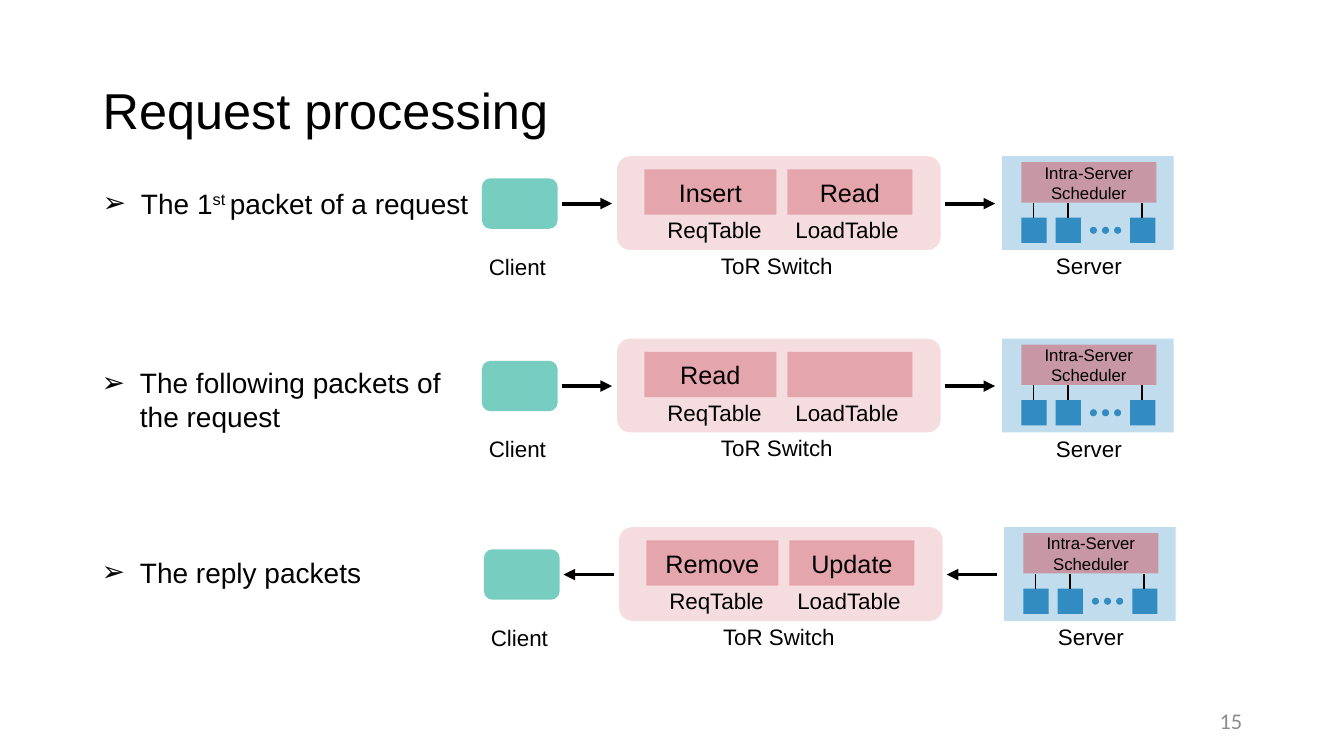
from dataclasses import dataclass

from lxml import etree
from pptx import Presentation
from pptx import util as u
from pptx.dml.color import RGBColor
from pptx.enum import shapes, text
from pptx.oxml.ns import qn

PX = 9144
SHAPE = shapes.MSO_SHAPE
ALIGN = text.PP_ALIGN
MIDDLE = text.MSO_ANCHOR.MIDDLE


@dataclass(frozen=True)
class Theme:
    font: str = "Arial"
    number_font: str = "Calibri"
    ink: str = "000000"
    grey: str = "8C8C8C"
    teal: str = "4ABDAC"
    red: str = "CD5360"
    blue: str = "328CC1"
    title: int = 36
    bullet: int = 20
    cell: int = 18
    label: int = 16
    small: int = 12
    arrow: float = 2.75
    wire: float = 1.25


T = Theme()


def px(*lengths):
    return [u.Emu(n * PX) for n in lengths]


def add_run(p, words, size, color=T.ink, font=T.font, baseline=0):
    r = p.add_run()
    r.text = words
    r.font.size = u.Pt(size)
    r.font.name = font
    r.font.color.rgb = RGBColor.from_string(color)
    if baseline:
        r._r.get_or_add_rPr().set("baseline", str(baseline * 1000))


def add_text(parent, box, words, size, align=ALIGN.LEFT, anchor=None, wrap=True,
             color=T.ink, font=T.font):
    tf = parent.add_textbox(*px(*box)).text_frame
    tf.word_wrap = wrap
    if anchor is not None:
        tf.vertical_anchor = anchor
    p = tf.paragraphs[0]
    p.alignment = align
    add_run(p, words, size, color, font)
    return p


def add_block(parent, kind, box, color, opacity=100, lines=(), size=T.cell):
    s = parent.add_shape(kind, *px(*box))
    s.shadow.inherit = False
    s.line.fill.background()
    s.fill.solid()
    s.fill.fore_color.rgb = RGBColor.from_string(color)
    if opacity < 100:
        srgb = s._element.spPr.find(".//" + qn("a:srgbClr"))
        etree.SubElement(srgb, qn("a:alpha"), val=str(opacity * 1000))
    tf = s.text_frame
    tf.vertical_anchor = MIDDLE
    for i, line in enumerate(lines):
        p = tf.add_paragraph() if i else tf.paragraphs[0]
        p.alignment = ALIGN.CENTER
        add_run(p, line, size)
    return s


def add_line(parent, start, end, width, arrow=False):
    c = parent.add_connector(shapes.MSO_CONNECTOR.STRAIGHT, *px(*start, *end))
    c.line.width = u.Pt(width)
    c.line.color.rgb = RGBColor.from_string(T.ink)
    if arrow:
        etree.SubElement(c.line._get_or_add_ln(), qn("a:tailEnd"), type="triangle")
    etree.SubElement(c._element.spPr, qn("a:effectLst"))


def add_bullet(parent, box, runs):
    tf = parent.add_textbox(*px(*box)).text_frame
    tf.word_wrap = True
    p = tf.paragraphs[0]
    pPr = p._p.get_or_add_pPr()
    pPr.set("marL", str(38 * PX))
    pPr.set("indent", str(-38 * PX))
    etree.SubElement(pPr, qn("a:buFont"), typeface=T.font)
    etree.SubElement(pPr, qn("a:buChar"), char="➢")
    for words, baseline in runs:
        add_run(p, words, T.bullet, baseline=baseline)


def add_client(parent, x, y):
    add_block(parent, SHAPE.ROUNDED_RECTANGLE, (x, y + 22, 75, 50), T.teal, 75)
    add_text(parent, (x - 3, y + 91, 78, 37), "Client", T.label, wrap=False)


def add_switch(parent, x, y, actions):
    add_text(parent, (x + 24, y + 97, 269, 23), "ToR Switch", T.label, ALIGN.CENTER, MIDDLE)
    group = parent.add_group_shape().shapes
    body = add_block(group, SHAPE.ROUNDED_RECTANGLE, (x, y, 321, 93), T.red, 20)
    body.adjustments[0] = 0.14
    tables = (("ReqTable", 27, 131, 40, 114), ("LoadTable", 169, 124, 167, 124))
    for action, (name, left, width, name_left, name_width) in zip(actions, tables):
        add_block(group, SHAPE.RECTANGLE, (x + left, y + 13, width, 45), T.red, 40,
                  [action] if action else [])
        add_text(group, (x + name_left, y + 55, name_width, 37), name, T.label, wrap=False)


def add_server(parent, x, y):
    add_text(parent, (x + 14, y + 96, 144, 25), "Server", T.label, ALIGN.CENTER, MIDDLE)
    group = parent.add_group_shape().shapes
    add_block(group, SHAPE.RECTANGLE, (x, y, 170, 93), T.blue, 30)
    for left in (19, 53, 127):
        add_block(group, SHAPE.RECTANGLE, (x + left, y + 61, 25, 25), T.blue)
        add_line(group, (x + left + 12, y + 61), (x + left + 12, y + 46), T.wire)
    for i in range(3):
        add_block(group, SHAPE.OVAL, (x + 87 + 12 * i, y + 70, 7, 7), T.blue)
    add_block(group, SHAPE.RECTANGLE, (x + 19, y + 6, 134, 40), T.red, 50,
              ("Intra-Server", "Scheduler"), T.small)


def add_flow(parent, x, y, actions, reply):
    add_client(parent, x, y)
    add_switch(parent, x + 134, y, actions)
    add_server(parent, x + 516, y)
    for left in (x + 79, x + 459):
        ends = [(left, y + 47), (left + 50, y + 47)]
        if reply:
            ends.reverse()
        add_line(parent, *ends, T.arrow, arrow=True)


def add_heading(parent, box):
    p = add_text(parent, box, "Request processing", T.title, anchor=MIDDLE)
    p.line_spacing = 0.9


def add_page_number(parent, box):
    add_text(parent, box, "15", T.label, ALIGN.RIGHT, MIDDLE,
             color=T.grey, font=T.number_font)


FLOWS = (
    (478, 155, ("Insert", "Read"), False, (92, 180, 390, 44),
     (("The 1", 0), ("st ", 30), ("packet of a request", 0))),
    (478, 336, ("Read", ""), False, (91, 358, 390, 77),
     (("The following packets of the request", 0),)),
    (480, 523, ("Remove", "Update"), True, (91, 546, 390, 44),
     (("The reply packets", 0),)),
)


def main():
    prs = Presentation()
    prs.slide_width, prs.slide_height = px(1333, 750)
    parts = prs.slides.add_slide(prs.slide_layouts[6]).shapes
    add_heading(parts, (92, 40, 1150, 145))
    for x, y, actions, reply, bullet_box, runs in FLOWS:
        add_flow(parts, x, y, actions, reply)
        add_bullet(parts, bullet_box, runs)
    add_page_number(parts, (942, 695, 300, 40))
    prs.save("out.pptx")


if __name__ == "__main__":
    main()
